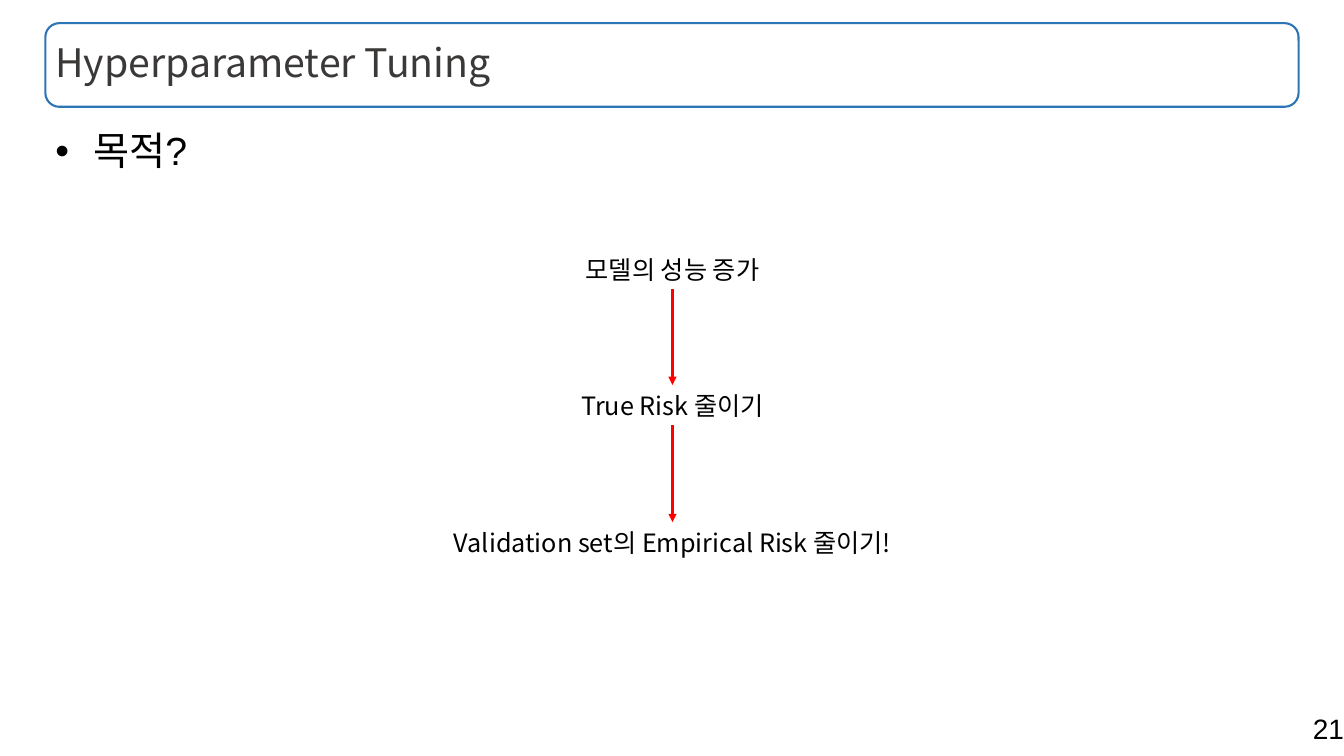
from dataclasses import dataclass
from itertools import pairwise

from lxml import etree
from pptx import Presentation
from pptx.dml.color import RGBColor
from pptx.enum.shapes import MSO_CONNECTOR, MSO_SHAPE
from pptx.enum.text import MSO_ANCHOR, MSO_AUTO_SIZE, PP_ALIGN
from pptx.oxml.ns import qn
from pptx.util import Inches, Pt

TITLE = "Hyperparameter Tuning"
QUESTION = "목적?"
PAGE_NUMBER = "21"
STEPS = [
    ("모델의 성능 증가", 2.47, 2.19),
    ("True Risk 줄이기", 3.82, 2.15),
    ("Validation set의 Empirical Risk 줄이기!", 5.18, 4.59),
]

SLIDE_WIDTH, SLIDE_HEIGHT = 13.33, 7.5
STEP_CENTER, STEP_HEIGHT = 6.67, 0.4
TITLE_BOX = (0.45, 0.23, 12.43, 0.83)
BODY_BOX = (0.45, 1.26, 12.44, 5.53)
NUMBER_BOX = (9.43, 7.01, 3.9, 0.44)

LEFT, CENTER, RIGHT = PP_ALIGN.LEFT, PP_ALIGN.CENTER, PP_ALIGN.RIGHT
TOP, MIDDLE = MSO_ANCHOR.TOP, MSO_ANCHOR.MIDDLE
FIXED, GROW = MSO_AUTO_SIZE.NONE, MSO_AUTO_SIZE.SHAPE_TO_FIT_TEXT
BOTTOM_SITE, TOP_SITE = 2, 0


@dataclass(frozen=True)
class Theme:
    text: RGBColor = RGBColor(0x00, 0x00, 0x00)
    title: RGBColor = RGBColor(0x3B, 0x38, 0x38)
    frame: RGBColor = RGBColor(0x2E, 0x75, 0xB6)
    arrow: RGBColor = RGBColor(0xFF, 0x00, 0x00)
    sans: str = "Noto Sans CJK KR"
    latin: str = "Arial"
    heading_size: int = 28
    step_size: int = 18
    number_size: int = 20
    line_width: float = 1.5


THEME = Theme()


def place(shape, box):
    shape.left, shape.top, shape.width, shape.height = map(Inches, box)


def write(shape, text, font_name, size, color, alignment, anchor=TOP, auto_size=FIXED):
    frame = shape.text_frame
    frame.word_wrap = True
    frame.auto_size = auto_size
    frame.vertical_anchor = anchor
    frame.text = text
    paragraph = frame.paragraphs[0]
    paragraph.alignment = alignment
    paragraph.space_before = Pt(0)
    font = paragraph.font
    font.name, font.size = font_name, Pt(size)
    font.color.rgb = color
    defaults = paragraph._p.pPr.find(qn("a:defRPr"))
    etree.SubElement(defaults, qn("a:ea")).set("typeface", THEME.sans)
    return paragraph


def add_bullet(paragraph):
    properties = paragraph._p.get_or_add_pPr()
    properties.set("marL", str(Inches(0.25)))
    properties.set("indent", str(-Inches(0.25)))
    bullet = etree.Element(qn("a:buChar"))
    bullet.set("char", "•")
    properties.insert(0, bullet)


def add_arrow(slide, start, end):
    arrow = slide.shapes.add_connector(MSO_CONNECTOR.STRAIGHT, 0, 0, 0, 0)
    arrow.begin_connect(start, BOTTOM_SITE)
    arrow.end_connect(end, TOP_SITE)
    arrow.line.color.rgb = THEME.arrow
    arrow.line.width = Pt(THEME.line_width)
    etree.SubElement(arrow.line._get_or_add_ln(), qn("a:tailEnd")).set("type", "triangle")
    etree.SubElement(arrow._element.spPr, qn("a:effectLst"))


def add_title(slide):
    frame = slide.shapes.add_shape(MSO_SHAPE.ROUNDED_RECTANGLE, *map(Inches, TITLE_BOX))
    frame.shadow.inherit = False
    frame.fill.background()
    frame.line.color.rgb = THEME.frame
    frame.line.width = Pt(THEME.line_width)
    title = slide.shapes.title
    place(title, TITLE_BOX)
    paragraph = write(title, TITLE, THEME.sans, THEME.heading_size, THEME.title, LEFT, MIDDLE)
    paragraph.line_spacing = 0.9


def add_question(slide):
    body = slide.placeholders[1]
    place(body, BODY_BOX)
    add_bullet(body.text_frame.paragraphs[0])
    paragraph = write(body, QUESTION, THEME.latin, THEME.heading_size, THEME.text, LEFT)
    paragraph.line_spacing = 0.9


def add_steps(slide):
    boxes = []
    for text, top, width in STEPS:
        box = slide.shapes.add_textbox(
            *map(Inches, (STEP_CENTER - width / 2, top, width, STEP_HEIGHT))
        )
        write(box, text, THEME.sans, THEME.step_size, THEME.text, CENTER, auto_size=GROW)
        boxes.append(box)
    for start, end in pairwise(boxes):
        add_arrow(slide, start, end)


def main():
    presentation = Presentation()
    presentation.slide_width = Inches(SLIDE_WIDTH)
    presentation.slide_height = Inches(SLIDE_HEIGHT)
    slide = presentation.slides.add_slide(presentation.slide_layouts[1])
    add_title(slide)
    add_question(slide)
    add_steps(slide)
    number = slide.shapes.add_textbox(*map(Inches, NUMBER_BOX))
    number.text_frame.margin_right = 0
    write(number, PAGE_NUMBER, THEME.latin, THEME.number_size, THEME.text, RIGHT, auto_size=GROW)
    presentation.save("out.pptx")


if __name__ == "__main__":
    main()
